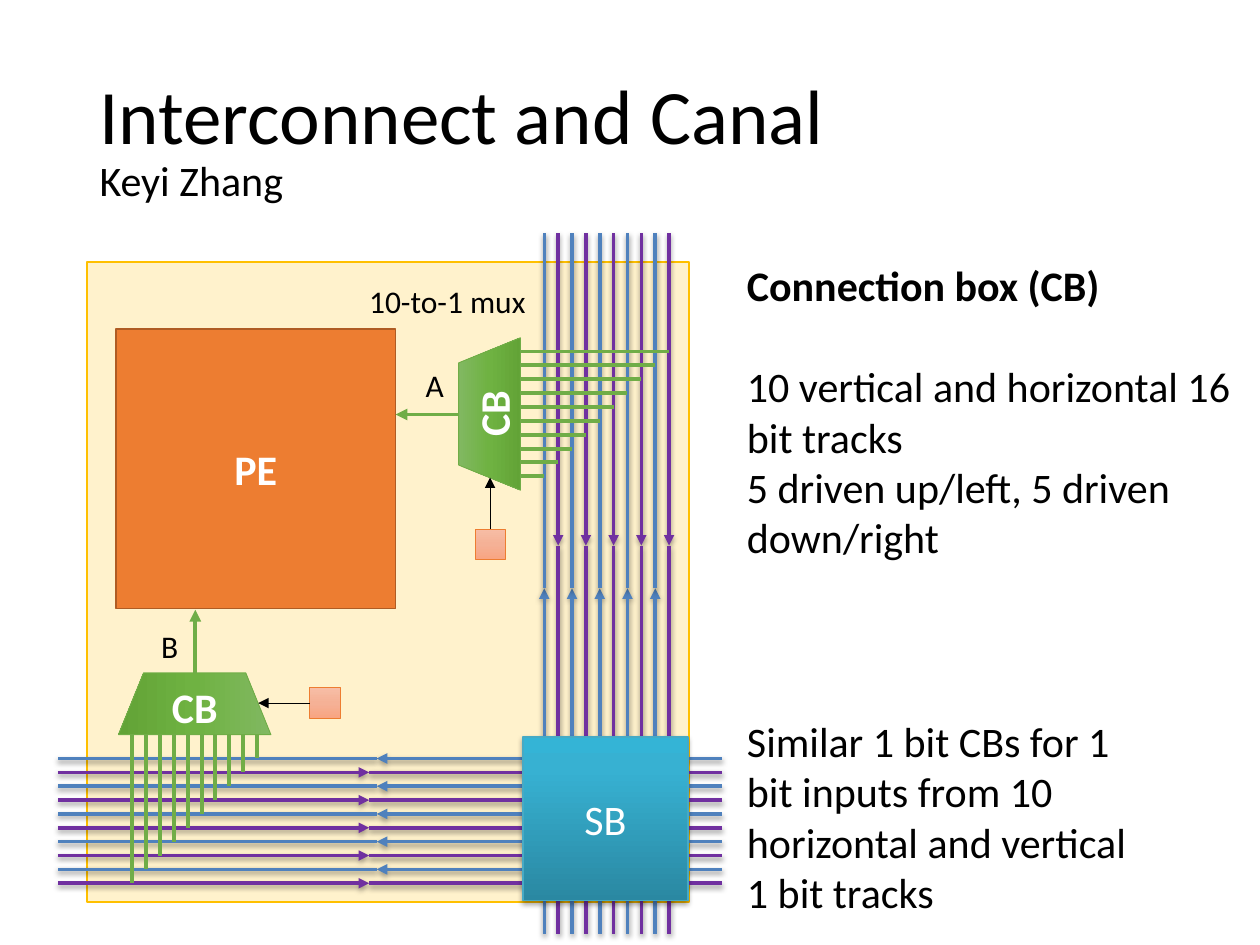
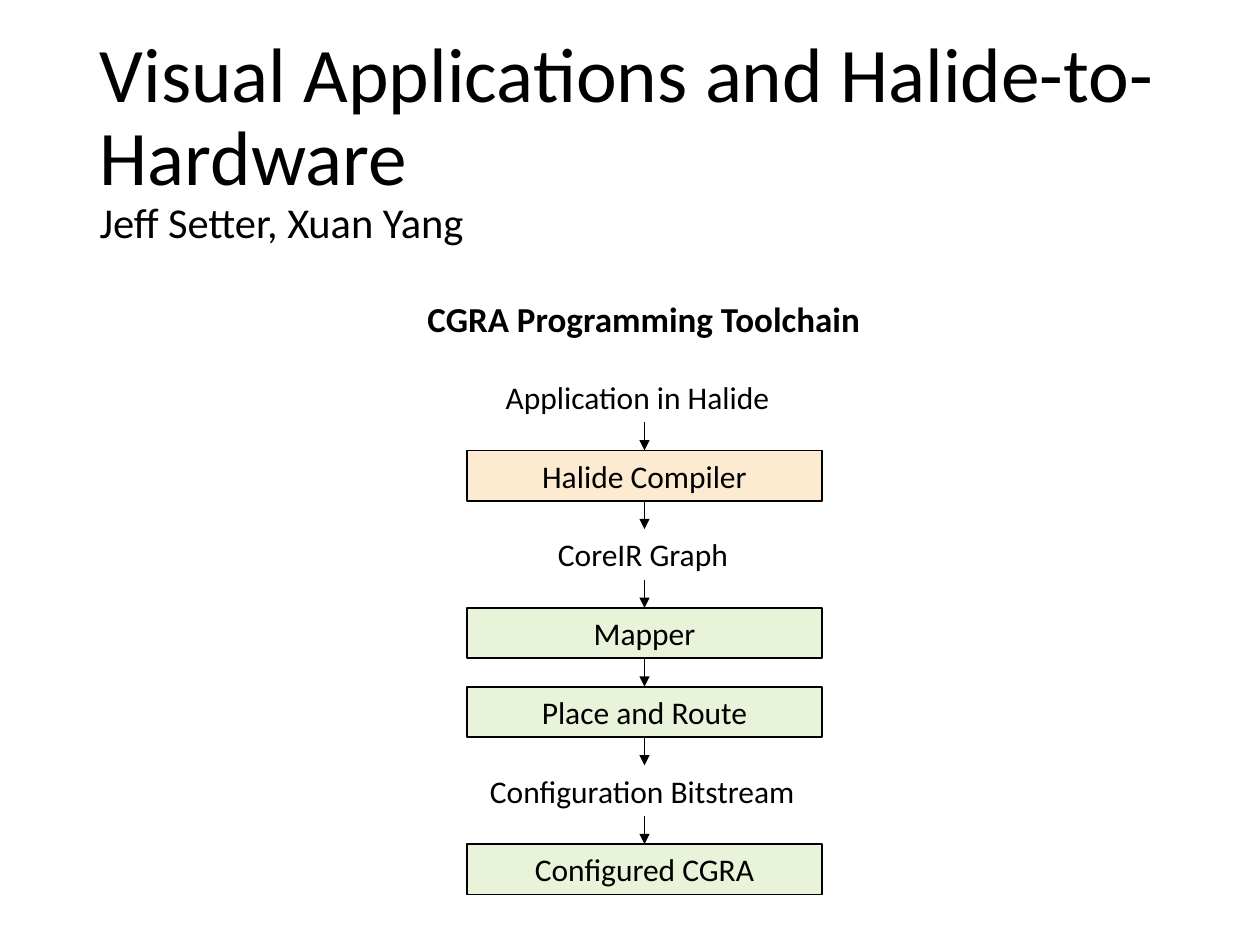
"""Build two slides on a CGRA interconnect and its programming toolchain."""
from lxml import etree
from pptx import Presentation
from pptx import util as u
from pptx.dml.color import RGBColor
from pptx.enum import shapes, text
from pptx.oxml.ns import qn

FONT = "Calibri"
BLACK, WHITE = "000000", "FFFFFF"
GREEN, ORANGE = "70AD47", "ED7D31"
UPSTREAM, DOWNSTREAM = "4F81BD", "7030A0"
CB_STOPS = [(0, "81B861"), (50, "6FB242"), (100, "62A336")]
CONFIG_STOPS = [(0, "F7BDA5"), (50, "F5B196"), (100, "F8A582")]
SB_STOPS = [(0, "2A88A2"), (80, "37B1D2"), (100, "34B4D6")]
TRACKS, PITCH = 10, 0.11


def rgb(value):
    return RGBColor.from_string(value)


def sub(parent, tag, **attributes):
    return etree.SubElement(parent, qn(tag), {k: str(v) for k, v in attributes.items()})


class Deck:
    def __init__(self):
        self.prs = Presentation()
        self.prs.slide_width, self.prs.slide_height = u.Inches(10), u.Inches(7.5)
        self.slide = None

    def font(self, font, size, color=BLACK, bold=False):
        font.name, font.size, font.bold = FONT, u.Pt(size), bold
        font.color.rgb = rgb(color)

    def new_slide(self, heading, authors, size, author_size):
        self.slide = self.prs.slides.add_slide(self.prs.slide_layouts[5])
        title = self.slide.shapes.title
        title.left, title.top = u.Inches(0.69), u.Inches(0.4)
        title.width, title.height = u.Inches(8.62), u.Inches(1.45)
        frame = title.text_frame
        frame.auto_size = text.MSO_AUTO_SIZE.NONE
        frame.vertical_anchor = text.MSO_ANCHOR.MIDDLE
        line = frame.paragraphs[0]
        line.alignment, line.line_spacing = text.PP_ALIGN.LEFT, 0.9
        for wording, points in ((heading, size), (authors, author_size)):
            if line.runs:
                line.add_line_break()
            run = line.add_run()
            run.text = wording
            self.font(run.font, points)

    def effects(self, element, opacity):
        props = element.spPr
        effects = props.find(qn("a:effectLst"))
        if effects is None:
            effects = sub(props, "a:effectLst")
        if opacity:
            shadow = sub(effects, "a:outerShdw", blurRad=u.Pt(3.1), dist=u.Pt(1.6),
                         dir=5400000, rotWithShape=0)
            color = sub(shadow, "a:srgbClr", val=BLACK)
            sub(color, "a:alpha", val=opacity * 1000)

    def gradient(self, shape, stops, angle):
        props = shape._element.spPr
        fill = etree.Element(qn("a:gradFill"), rotWithShape="1")
        stop_list = sub(fill, "a:gsLst")
        for position, color in stops:
            sub(sub(stop_list, "a:gs", pos=position * 1000), "a:srgbClr", val=color)
        sub(fill, "a:lin", ang=angle * 60000, scaled=0)
        props.replace(props.find(qn("a:solidFill")), fill)

    def box(self, area, fill, line, width=1, label="", size=24, color=WHITE, bold=False,
            kind=shapes.MSO_SHAPE.RECTANGLE, angle=90, shadow=0):
        shape = self.slide.shapes.add_shape(kind, *map(u.Inches, area))
        shape.shadow.inherit = False
        shape.fill.solid()
        if isinstance(fill, str):
            shape.fill.fore_color.rgb = rgb(fill)
        else:
            self.gradient(shape, fill, angle)
        shape.line.color.rgb, shape.line.width = rgb(line), u.Pt(width)
        self.effects(shape._element, shadow)
        if label:
            frame = shape.text_frame
            frame.text, frame.vertical_anchor = label, text.MSO_ANCHOR.MIDDLE
            frame.paragraphs[0].alignment = text.PP_ALIGN.CENTER
            self.font(frame.paragraphs[0].font, size, color, bold)
        return shape

    def mux(self, area, rotation=0, angle=90):
        shape = self.box(area, CB_STOPS, GREEN, 0.5, "CB", bold=True, angle=angle,
                         kind=shapes.MSO_SHAPE.TRAPEZOID)
        shape.adjustments[0], shape.rotation = 0.407, rotation

    def note(self, area, *lines, size=18, bold_first=False, centred=False, wrap=False, gap=0):
        frame = self.slide.shapes.add_textbox(*map(u.Inches, area)).text_frame
        frame.text = "\n".join(lines)
        frame.word_wrap, frame.auto_size = wrap, text.MSO_AUTO_SIZE.SHAPE_TO_FIT_TEXT
        for index, paragraph in enumerate(frame.paragraphs):
            self.font(paragraph.font, size, bold=bold_first and index == 0)
            if centred:
                paragraph.alignment = text.PP_ALIGN.CENTER
            if index == 1:
                paragraph.space_before = u.Pt(gap)

    def line(self, start, end, color=BLACK, width=0.5, arrow=False, shadow=0):
        line = self.slide.shapes.add_connector(
            shapes.MSO_CONNECTOR.STRAIGHT, *map(u.Inches, (*start, *end)))
        line.line.color.rgb, line.line.width = rgb(color), u.Pt(width)
        if arrow:
            sub(line.line._get_or_add_ln(), "a:tailEnd", type="triangle")
        self.effects(line._element, shadow)

    def track(self, start, middle, end, color):
        self.line(start, middle, color, 2, arrow=True, shadow=38)
        self.line(middle, end, color, 2, shadow=38)


def interconnect(deck):
    deck.new_slide("Interconnect and Canal", "Keyi Zhang", 44, 24)
    deck.box((0.69, 2.08, 4.78, 5.08), "FFF2CC", "FFC000")
    deck.box((0.92, 2.61, 2.22, 2.22), ORANGE, "AF5C24", label="PE", bold=True)
    deck.mux((3.28, 3.04, 1.21, 0.49), rotation=270)
    deck.line((3.64, 3.29), (3.14, 3.29), GREEN, 2.25, arrow=True)
    deck.box((3.77, 4.2, 0.24, 0.24), CONFIG_STOPS, ORANGE, 0.5)
    deck.line((3.89, 4.2), (3.89, 3.79), arrow=True)

    deck.note((5.83, 2.01, 4.07, 2.52), "Connection box (CB)",
              "10 vertical and horizontal 16 bit tracks", "5 driven up/left, 5 driven down/right",
              size=24, bold_first=True, wrap=True, gap=29)
    deck.note((5.83, 5.63, 3.38, 1.72),
              "Similar 1 bit CBs for 1 bit inputs from 10 horizontal and vertical 1 bit tracks",
              size=24, wrap=True)
    deck.note((2.64, 2.19, 1.82, 0.4), "10-to-1 mux", centred=True, wrap=True)
    deck.note((3.28, 2.86, 0.35, 0.4), "A")
    deck.note((1.18, 4.93, 0.35, 0.4), "B")

    for index in range(TRACKS):
        x, y = 4.32 + index * PITCH, 6.02 + index * PITCH
        if index % 2:
            deck.track((x, 1.85), (x, 4.33), (x, 7.41), DOWNSTREAM)
            deck.track((0.46, y), (2.93, y), (5.73, y), DOWNSTREAM)
        else:
            deck.track((x, 7.41), (x, 4.67), (x, 1.85), UPSTREAM)
            deck.track((5.73, y), (2.99, y), (0.46, y), UPSTREAM)
    for index in range(TRACKS):
        step = index * PITCH
        deck.line((4.13, 2.79 + step), (5.31 - step, 2.79 + step), GREEN, 2.25)
        deck.line((1.05 + step, 5.83), (1.05 + step, 7.01 - step), GREEN, 2.25)

    deck.mux((0.94, 5.34, 1.21, 0.49), angle=180)
    deck.line((1.55, 5.34), (1.55, 4.84), GREEN, 2.25, arrow=True)
    deck.box((2.46, 5.46, 0.24, 0.24), CONFIG_STOPS, ORANGE, 0.5)
    deck.line((2.46, 5.58), (2.05, 5.58), arrow=True)
    deck.box((4.15, 5.85, 1.31, 1.3), SB_STOPS, "46AAC5", 0.75, "SB", angle=270, shadow=35)


def toolchain(deck):
    deck.new_slide("Visual Applications and Halide-to-Hardware", "Jeff Setter, Xuan Yang",
                   44.1, 24.3)
    deck.note((3.28, 2.31, 3.66, 0.44), "CGRA Programming Toolchain", size=20,
              bold_first=True, centred=True)
    compiler, backend = "FCEBD1", "E8F3DA"
    stages = [("Application in Halide", None, 2.4), ("Halide Compiler", compiler, 2.82),
              ("CoreIR Graph", None, 1.57), ("Mapper", backend, 2.82),
              ("Place and Route", backend, 2.82), ("Configuration Bitstream", None, 2.65),
              ("Configured CGRA", backend, 2.82)]
    first, pitch, height, axis = 2.95, 0.625, 0.4, 5.115
    for index, (name, fill, width) in enumerate(stages):
        top = first + index * pitch
        area = (axis - width / 2, top, width, height)
        if fill:
            deck.box(area, fill, BLACK, label=name, size=18, color=BLACK)
        else:
            deck.note(area, name)
        if index:
            deck.line((axis, top - pitch + height), (axis, top), arrow=True)


def main():
    deck = Deck()
    interconnect(deck)
    toolchain(deck)
    deck.prs.save("out.pptx")


if __name__ == "__main__":
    main()
